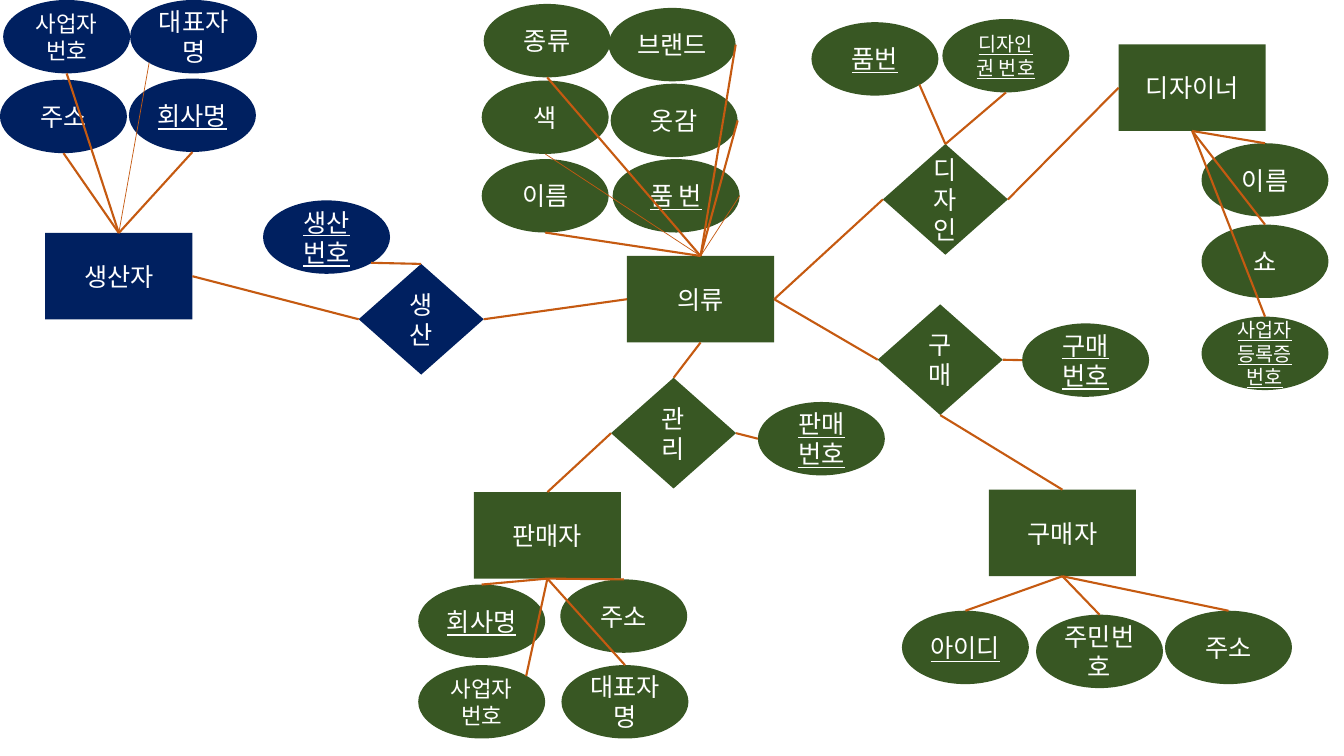
from lxml import etree
from pptx import Presentation
from pptx.dml.color import RGBColor
from pptx.enum.shapes import MSO_CONNECTOR, MSO_SHAPE
from pptx.enum.text import MSO_ANCHOR, PP_ALIGN
from pptx.oxml.ns import qn
from pptx.util import Cm, Pt

RECT = MSO_SHAPE.RECTANGLE
OVAL = MSO_SHAPE.OVAL
RHOMB = MSO_SHAPE.DIAMOND
LINE = MSO_CONNECTOR.STRAIGHT
CENTER = PP_ALIGN.CENTER
MIDDLE = MSO_ANCHOR.MIDDLE

FONT = "Noto Sans CJK KR"
COLORS = {"green": "385723", "navy": "002060", "line": "C55A11", "text": "FFFFFF"}
SIZES = {RECT: (3.71, 2.18), OVAL: (3.2, 1.85), RHOMB: (3.15, 2.79)}
LOW, HIGH = 0.15, 0.85
SIDES = {
    "top": (0.5, 0), "bottom": (0.5, 1), "left": (0, 0.5), "right": (1, 0.5),
    "top right": (HIGH, LOW), "low left": (LOW, HIGH), "low right": (HIGH, HIGH),
}
THIN, THICK = 0.5, 1.5

# name: kind, left, top, colour, side that its attributes join
HUBS = {
    "의류": (RECT, 15.8, 6.45, "green", "top"),
    "디자이너": (RECT, 28.19, 1.12, "green", "bottom"),
    "구매자": (RECT, 24.92, 12.34, "green", "bottom"),
    "판매자": (RECT, 11.94, 12.4, "green", "bottom"),
    "생산자": (RECT, 1.14, 5.87, "navy", "top"),
    "생산": (RHOMB, 9.04, 6.65, "navy", "top"),
    "관리": (RHOMB, 15.4, 9.52, "green", "right"),
    "구매": (RHOMB, 22.12, 7.67, "green", "right"),
    "디자인": (RHOMB, 22.25, 3.63, "green", "top"),
}

# hub: text, left, top, joined side, then any of size, key, width
TRAITS = {
    "의류": [
        ("이름", 12.14, 4.01, "bottom", {}),
        ("옷감", 15.39, 2.11, "right", {}),
        ("종류", 12.19, 0.1, "bottom", {}),
        ("색", 12.14, 2.03, "bottom", {"width": THIN}),
        ("브랜드", 15.34, 0.2, "right", {}),
        ("품 번", 15.44, 4.01, "right", {"key": True, "width": THIN}),
    ],
    "구매자": [
        ("아이디", 22.73, 15.39, "top", {"key": True}),
        ("주민번호", 26.11, 15.49, "top", {}),
        ("주소", 29.36, 15.39, "top", {}),
    ],
    "판매자": [
        ("회사명", 10.54, 14.73, "top", {"key": True}),
        ("대표자명", 14.15, 16.76, "top", {}),
        ("주소", 14.12, 14.6, "top", {}),
        ("사업자\n번호", 10.54, 16.76, "top right", {"size": 16}),
    ],
    "생산자": [
        ("회사명", 3.25, 1.98, "bottom", {"key": True}),
        ("대표자명", 3.28, 0, "low left", {"width": THIN}),
        ("주소", 0, 2.01, "bottom", {}),
        ("사업자\n번호", 0.08, 0, "bottom", {"size": 16}),
    ],
    "생산": [("생산 번호", 6.63, 5.05, "low right", {"key": True})],
    "관리": [("판매 번호", 19.1, 10.13, "left", {"key": True})],
    "구매": [("구매 번호", 25.76, 8.15, "left", {"key": True})],
    "디자이너": [
        ("이름", 30.28, 3.61, "top", {}),
        ("쇼", 30.28, 5.66, "top", {}),
        ("사업자등록증번호", 30.28, 7.98, "top", {"key": True, "size": 14}),
    ],
    "디자인": [
        ("디자인권 번호", 23.75, 0.48, "bottom", {"key": True, "size": 14}),
        ("품번", 20.45, 0.56, "low right", {"key": True}),
    ],
}

LINKS = [
    ("생산자", "right", "생산", "left"),
    ("생산", "right", "의류", "left"),
    ("판매자", "top", "관리", "left"),
    ("관리", "top", "의류", "bottom"),
    ("의류", "right", "구매", "left"),
    ("구매", "bottom", "구매자", "top"),
    ("의류", "right", "디자인", "left"),
    ("디자인", "right", "디자이너", "left"),
]


def paint(name):
    """Return the named colour."""
    return RGBColor.from_string(COLORS[name])


def add_node(slide, kind, text, left, top, tone, size=18, key=False):
    """Add a filled shape with centred text, underlined for a key."""
    width, height = SIZES[kind]
    node = slide.shapes.add_shape(kind, Cm(left), Cm(top), Cm(width), Cm(height))
    node.shadow.inherit = False
    node.fill.solid()
    node.fill.fore_color.rgb = paint(tone)
    node.line.fill.background()
    frame = node.text_frame
    frame.text = text
    frame.word_wrap = True
    frame.vertical_anchor = MIDDLE
    for para in frame.paragraphs:
        para.alignment = CENTER
        for run in para.runs:
            font = run.font
            font.size = Pt(size)
            font.color.rgb = paint("text")
            font.name = FONT
            if key:
                font.underline = True
            props = run._r.get_or_add_rPr()
            etree.SubElement(props, qn("a:ea"), typeface=FONT)
    return node


def find_spot(node, side):
    """Return the point on a side of a node."""
    across, down = SIDES[side]
    return int(node.left + across * node.width), int(node.top + down * node.height)


def add_link(slide, start, side, end, goal, width=THICK):
    """Join a side of one node to a side of another."""
    link = slide.shapes.add_connector(LINE, *find_spot(start, side), *find_spot(end, goal))
    link.line.color.rgb = paint("line")
    link.line.width = Pt(width)
    etree.SubElement(link._element.spPr, qn("a:effectLst"))


def main():
    """Build the entity diagram of the clothing trade."""
    deck = Presentation()
    deck.slide_width, deck.slide_height = Cm(33.87), Cm(19.05)
    slide = deck.slides.add_slide(deck.slide_layouts[6])

    hubs = {}
    for name, (kind, left, top, tone, _) in HUBS.items():
        hubs[name] = add_node(slide, kind, name, left, top, tone)

    links = [(hubs[start], side, hubs[end], goal) for start, side, end, goal in LINKS]
    for name, traits in TRAITS.items():
        tone, side = HUBS[name][3:]
        for text, left, top, goal, style in traits:
            look = dict(style)
            width = look.pop("width", THICK)
            node = add_node(slide, OVAL, text, left, top, tone, **look)
            links.append((hubs[name], side, node, goal, width))

    for link in links:
        add_link(slide, *link)
    deck.save("out.pptx")


main()
